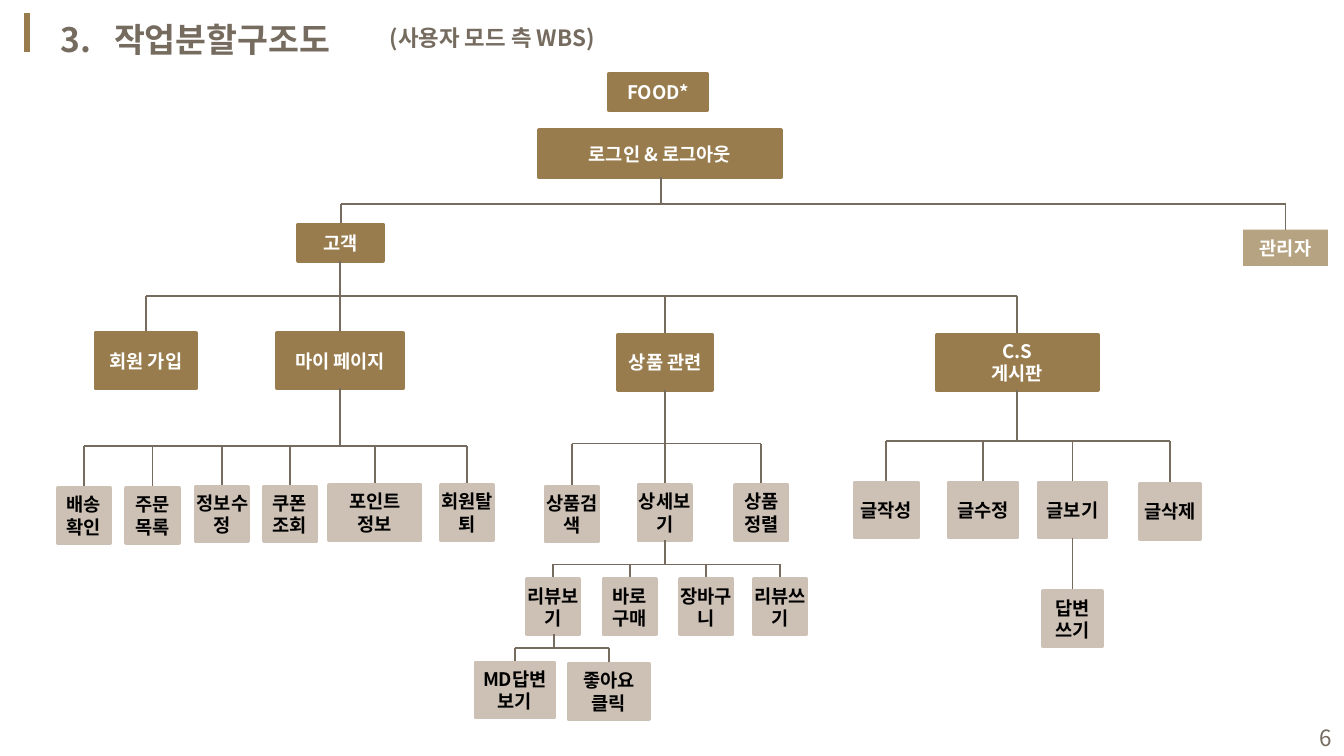
from lxml.etree import SubElement
from pptx import Presentation
from pptx.dml.color import RGBColor
from pptx.enum.shapes import MSO_CONNECTOR, MSO_SHAPE
from pptx.enum.text import MSO_ANCHOR, PP_ALIGN
from pptx.oxml.ns import qn
from pptx.util import Pt

PX = 9144
WIDE = 1000 * PX
FONT = "Noto Sans CJK KR"
HUES = {"gold": "987C4D", "sand": "CDC1B6", "text": "756B5F",
        "white": "FFFFFF", "black": "000000"}
TONES = {"main": ("gold", "white"), "soft": ("gold", "white"),
         "leaf": ("sand", "black")}


def hue(name):
    return RGBColor.from_string(HUES[name])


def style(frame, size, color, align, bold=True):
    frame.word_wrap = True
    for para in frame.paragraphs:
        para.alignment = align
        for run in para.runs:
            font = run.font
            font.name, font.size, font.bold = FONT, Pt(size), bold
            font.color.rgb = hue(color)
            SubElement(font._element, qn("a:ea")).set("typeface", FONT)


def line(slide, start, end, color="text", width=1):
    ends = [int(v * PX) for v in (*start, *end)]
    link = slide.shapes.add_connector(MSO_CONNECTOR.STRAIGHT, *ends)
    link.line.color.rgb = hue(color)
    link.line.width = Pt(width)
    SubElement(link._element.spPr, qn("a:effectLst"))


def label(slide, box, text, size, align=PP_ALIGN.LEFT, bold=True):
    shape = slide.shapes.add_textbox(*[v * PX for v in box])
    shape.text_frame.text = text
    style(shape.text_frame, size, "text", align, bold)
    return shape.text_frame


def node(slide, box, text, tone="main"):
    fill, ink = TONES[tone]
    shape = slide.shapes.add_shape(MSO_SHAPE.RECTANGLE, *[v * PX for v in box])
    shape.shadow.inherit = False
    shape.fill.solid()
    shape.fill.fore_color.rgb = hue(fill)
    if tone == "soft":
        shade = shape._element.spPr.find(".//" + qn("a:srgbClr"))
        SubElement(shade, qn("a:alpha")).set("val", "70000")
        shape.line.fill.background()
    else:
        shape.line.color.rgb = hue(fill)
        shape.line.width = Pt(2)
    frame = shape.text_frame
    frame.margin_left = frame.margin_right = 0
    frame.margin_top = frame.margin_bottom = 0
    frame.vertical_anchor = MSO_ANCHOR.MIDDLE
    frame.text = text
    style(frame, 10, ink, PP_ALIGN.CENTER)


def head(slide, box):
    x, y, w, h = box
    line(slide, (x, y), (x, y + 29), "gold", 3)
    title = label(slide, (x + 15, y - 1, 321, h), "3.\t작업분할구조도", 18)
    props = title.paragraphs[0]._p.get_or_add_pPr()
    props.set("marL", str(40 * PX))
    props.set("indent", str(-40 * PX))
    label(slide, (x + w - 181, y + 3, 181, 30), "(사용자 모드 측 WBS)", 12)


def root(slide, box):
    x, y, w, h = box
    node(slide, (x + 52, y, 73, 27), "FOOD*")
    node(slide, (x, y + h - 35, w, 35), "로그인 & 로그아웃")


def tree(slide, box, stem, rail, kids, tall=41):
    x, y = box
    mids = [x + kid[0] + kid[2] / 2 for kid in kids]
    line(slide, (x + stem, y), (x + stem, y + rail))
    if len(kids) > 1:
        line(slide, (min(mids), y + rail), (max(mids), y + rail))
    for mid, (left, top, wide, text, tone) in zip(mids, kids):
        line(slide, (mid, y + rail), (mid, y + top))
        node(slide, (x + left, y + top, wide, tall), text, tone)


def leaves(*kids):
    return [(*kid, "leaf") for kid in kids]


def main():
    deck = Presentation()
    deck.slide_width, deck.slide_height = WIDE, WIDE * 9 // 16
    slide = deck.slides.add_slide(deck.slide_layouts[6])
    head(slide, (20, 10, 441, 40))
    root(slide, (401, 55, 180, 77))
    tree(slide, (222, 132), 270, 20, [
        (0, 35, 63, "고객", "main"), (703, 39, 63, "관리자", "soft")], 27)
    tree(slide, (71, 194), 182, 26, [
        (0, 54, 75, "회원 가입", "main"), (135, 54, 94, "마이 페이지", "main"),
        (389, 55, 70, "상품 관련", "main"), (626, 55, 120, "C.S\n게시판", "main")])
    tree(slide, (43, 289), 210, 43, leaves(
        (0, 74, 39, "배송\n확인"), (51, 74, 39, "주문\n목록"),
        (103, 73, 39, "정보수정"), (153, 73, 39, "쿠폰 조회"),
        (202, 72, 68, "포인트\n정보"), (285, 72, 39, "회원탈퇴")))
    tree(slide, (406, 290), 89, 40, leaves(
        (0, 72, 39, "상품검색"), (69, 71, 39, "상세보기"),
        (141, 71, 39, "상품\n정렬")))
    tree(slide, (636, 290), 121, 38, leaves(
        (0, 69, 47, "글작성"), (70, 69, 51, "글수정"),
        (137, 69, 50, "글보기"), (212, 70, 45, "글삭제")))
    tree(slide, (392, 402), 103, 18, leaves(
        (0, 29, 39, "리뷰보기"), (57, 29, 39, "바로\n구매"),
        (114, 29, 39, "장바구니"), (169, 29, 39, "리뷰쓰기")))
    tree(slide, (354, 472), 58, 10, leaves(
        (0, 21, 58, "MD답변 보기"), (69, 22, 60, "좋아요\n클릭")))
    tree(slide, (776, 400), 22, 20, leaves((0, 40, 44, "답변\n쓰기")))
    page = label(slide, (768, 534, 233, 30), "6", 12, PP_ALIGN.RIGHT, False)
    page.vertical_anchor = MSO_ANCHOR.MIDDLE
    deck.save("out.pptx")


if __name__ == "__main__":
    main()
